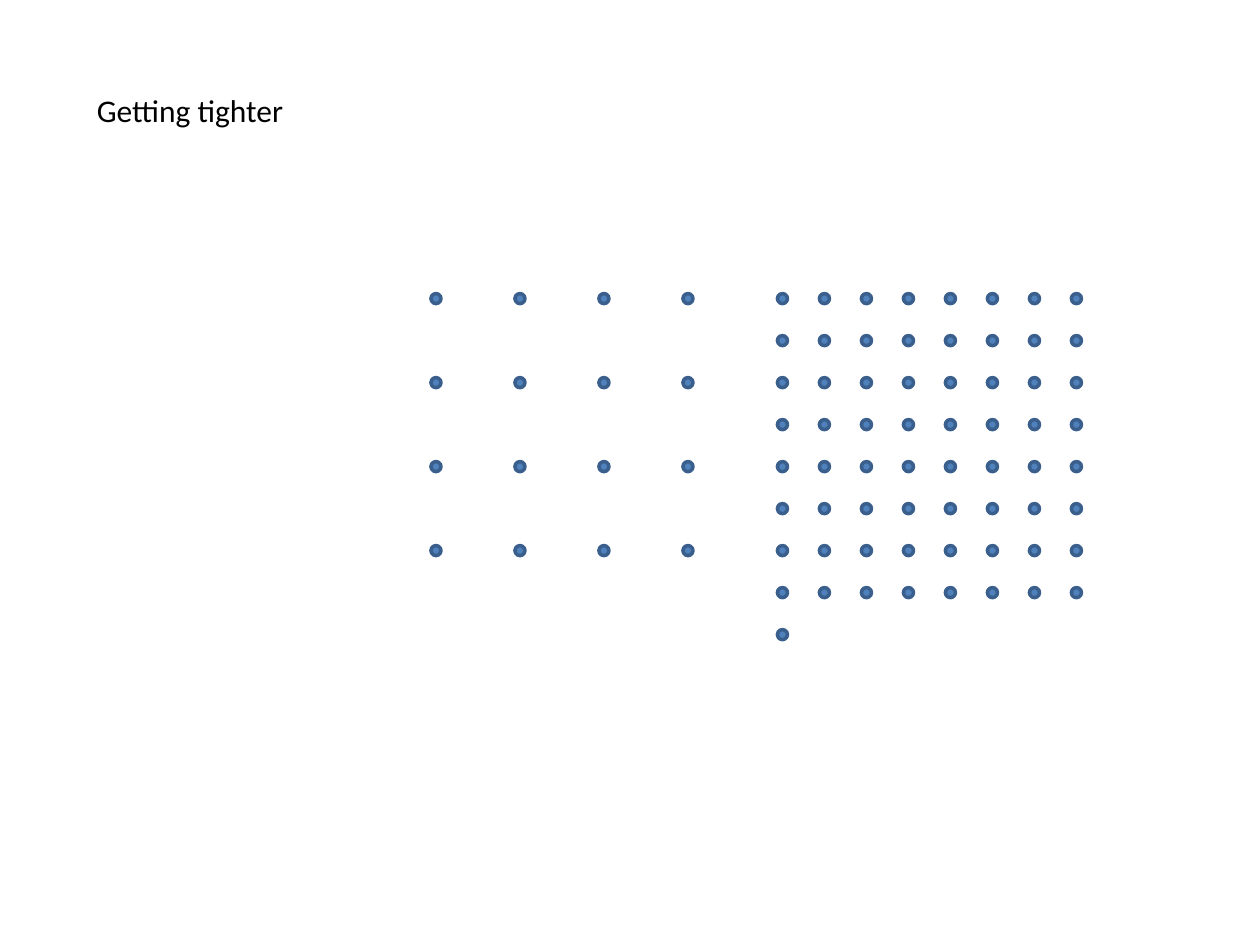
import pptx
import pptx.util
import pptx.dml.color
import pptx.enum.shapes
import pptx.enum.text
from pptx.util import Inches

theme = {
    "font": "Calibri",
    "title_size": pptx.util.Pt(18),
    "text": pptx.dml.color.RGBColor.from_string("000000"),
    "dot_fill": pptx.dml.color.RGBColor.from_string("4F81BD"),
    "dot_line": pptx.dml.color.RGBColor.from_string("3A5F8C"),
    "dot_line_width": pptx.util.Pt(2),
}
DOT_SIZE = 0.08
GRID_TOP = 2.33
FINE_LEFT = 6.17
FINE_STEP = 1 / 3


def add_dot(shapes, left, top):
    dot = shapes.add_shape(pptx.enum.shapes.MSO_SHAPE.OVAL, Inches(left), Inches(top),
                           Inches(DOT_SIZE), Inches(DOT_SIZE))
    dot.shadow.inherit = False
    dot.fill.solid()
    dot.fill.fore_color.rgb = theme["dot_fill"]
    dot.line.color.rgb = theme["dot_line"]
    dot.line.width = theme["dot_line_width"]


deck = pptx.Presentation()
deck.slide_width, deck.slide_height = Inches(10), Inches(7.5)
page = deck.slides.add_slide(deck.slide_layouts[6])

# Fine and coarse dot grids: left edge, dots per side, spacing
for grid_left, count, step in [(FINE_LEFT, 8, FINE_STEP), (3.42, 4, 2 * FINE_STEP)]:
    grid = page.shapes.add_group_shape()
    for column in range(count):
        for row in range(count):
            add_dot(grid.shapes, grid_left + column * step, GRID_TOP + row * step)

# Single dot starting a ninth row
add_dot(page.shapes, FINE_LEFT, GRID_TOP + 8 * FINE_STEP)

# Title
box = page.shapes.add_textbox(Inches(0.67), Inches(0.67), Inches(1.71), Inches(0.4))
frame = box.text_frame
frame.word_wrap = False
frame.auto_size = pptx.enum.text.MSO_AUTO_SIZE.SHAPE_TO_FIT_TEXT
frame.text = "Getting tighter"
font = frame.paragraphs[0].runs[0].font
font.name = theme["font"]
font.size = theme["title_size"]
font.color.rgb = theme["text"]

deck.save("out.pptx")
